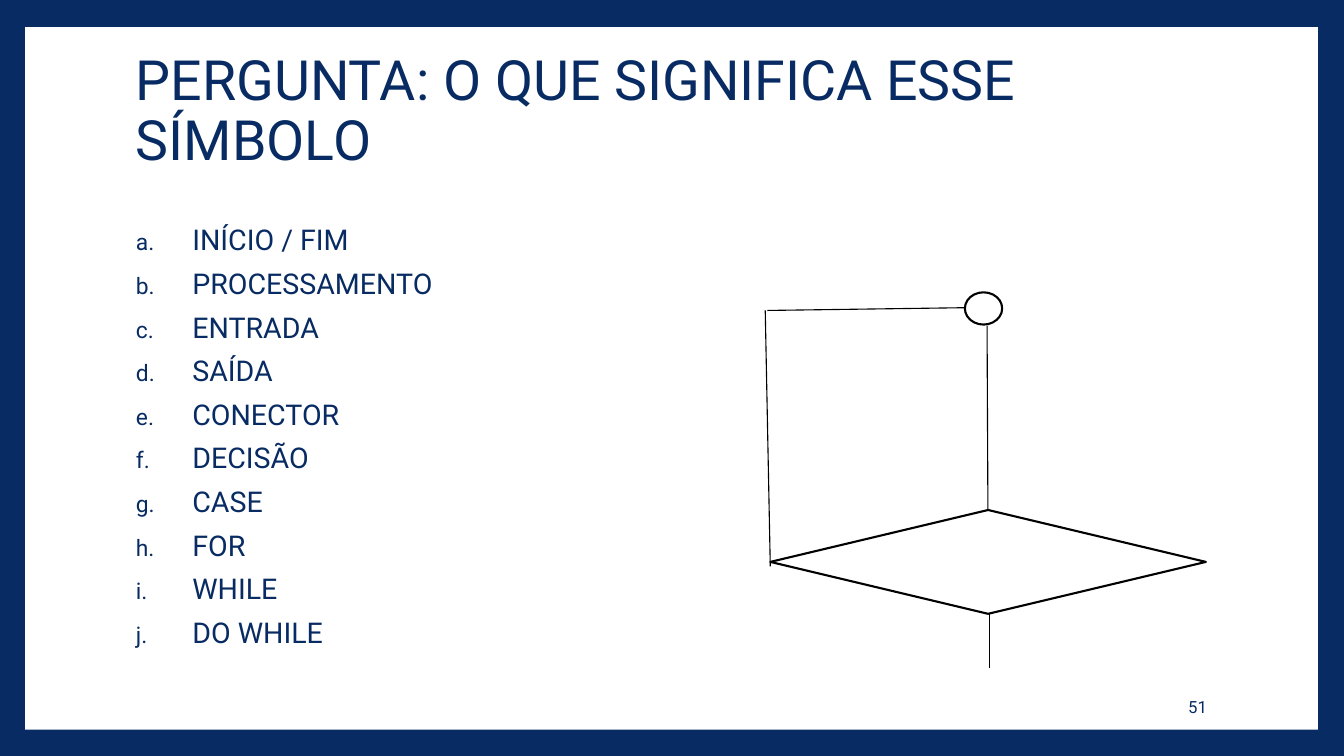
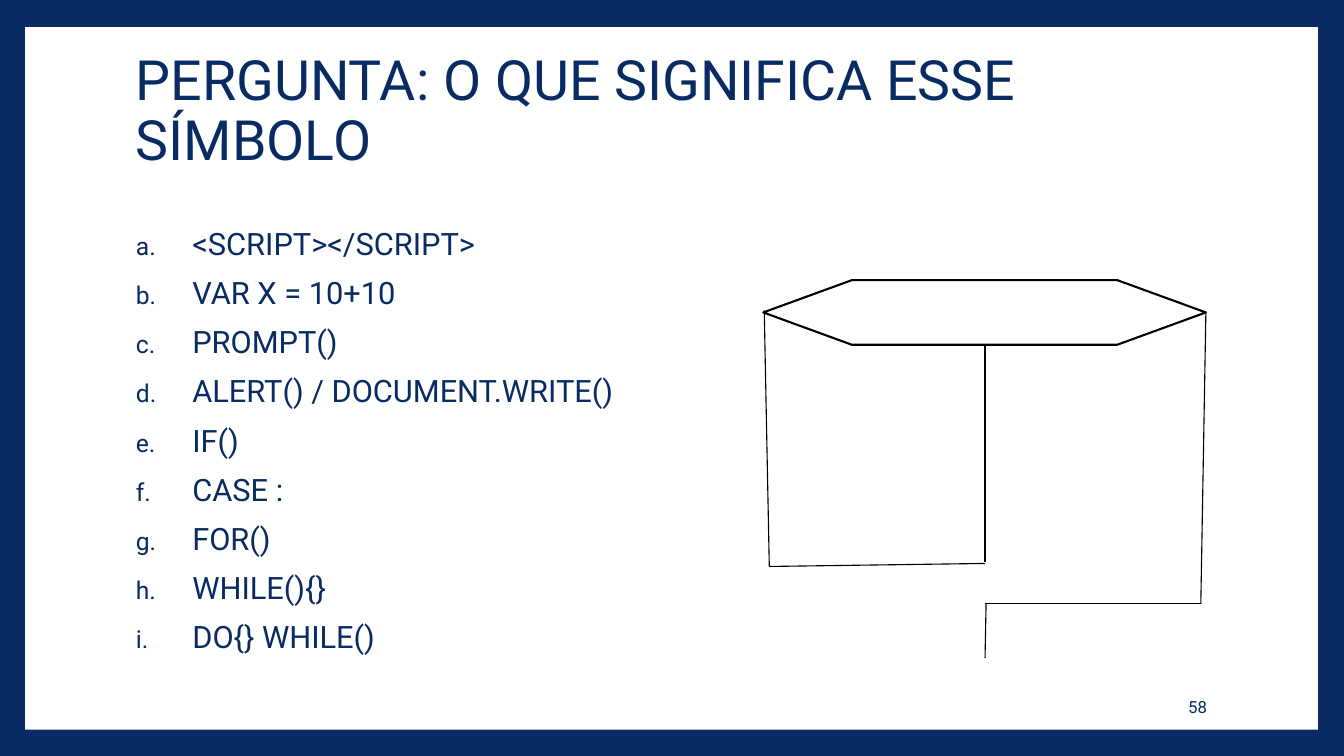
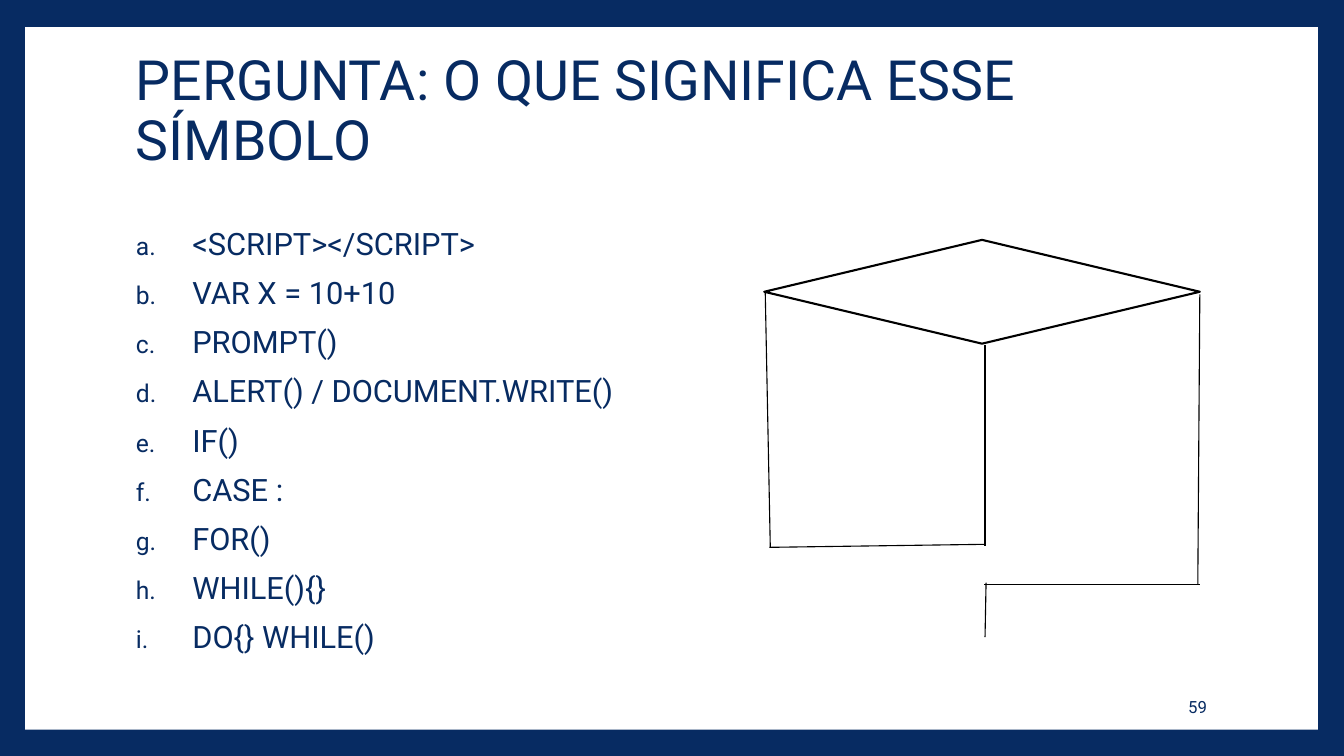
"""Builds three quiz slides on flowchart symbols."""
from lxml.etree import SubElement as Sub
from pptx import Presentation
from pptx.dml.color import RGBColor
from pptx.enum.shapes import MSO_CONNECTOR as Link, MSO_SHAPE as Kind
from pptx.enum.text import MSO_ANCHOR as Anchor, PP_ALIGN as Align
from pptx.oxml.ns import qn
from pptx.util import Inches, Pt

NAVY, WHITE, BLACK = "072B62", "FFFFFF", "000000"
FONT = "Roboto"
TITLE = "PERGUNTA: O QUE SIGNIFICA ESSE SÍMBOLO"

NAMES = ["INÍCIO / FIM", "PROCESSAMENTO", "ENTRADA", "SAÍDA", "CONECTOR",
         "DECISÃO", "CASE", "FOR", "WHILE", "DO WHILE"]
CODE = ["<SCRIPT></SCRIPT>", "VAR X = 10+10", "PROMPT()",
        "ALERT() / DOCUMENT.WRITE()", "IF()", "CASE :", "FOR()",
        "WHILE(){}", "DO{} WHILE()"]

DO_LOOP = {
    "lines": [(9.79, 3.23, 9.8, 5.42), (7.61, 3.08, 9.75, 3.05),
              (7.64, 5.62, 7.59, 3.08), (9.81, 6.63, 9.81, 6.09)],
    "nodes": [(Kind.FLOWCHART_DECISION, 7.64, 5.06, 4.32, 1.03),
              (Kind.FLOWCHART_CONNECTOR, 9.57, 2.9, 0.37, 0.32)],
}
FOR_LOOP = {
    "lines": [(9.77, 3.42, 9.77, 5.58), (7.63, 5.62, 9.77, 5.59),
              (7.63, 5.62, 7.58, 3.08), (11.91, 5.99, 11.96, 3.11),
              (9.77, 5.99, 11.91, 5.99), (9.77, 6.53, 9.78, 5.99)],
    "nodes": [(Kind.FLOWCHART_PREPARATION, 7.57, 2.78, 4.39, 0.64)],
}
WHILE_LOOP = {
    "lines": [(9.77, 3.42, 9.77, 5.42), (7.63, 5.43, 9.77, 5.4),
              (7.64, 5.43, 7.59, 2.9), (11.88, 5.8, 11.9, 2.92),
              (9.76, 5.8, 11.9, 5.8), (9.77, 6.32, 9.78, 5.78)],
    "nodes": [(Kind.FLOWCHART_DECISION, 7.58, 2.38, 4.32, 1.03)],
}
SLIDES = [(51, NAMES, 20.4, 0.7, DO_LOOP),
          (58, CODE, 22, 0.8, FOR_LOOP),
          (59, CODE, 22, 0.8, WHILE_LOOP)]


def paint(fmt, color):
    fmt.solid()
    fmt.fore_color.rgb = RGBColor.from_string(color)


def add_node(slide, kind, *box, line=None):
    node = slide.shapes.add_shape(kind, *map(Inches, box))
    node.shadow.inherit = False
    paint(node.fill, WHITE)
    if line:
        paint(node.line.fill, line)
        node.line.width = Pt(1.5)
    else:
        node.line.fill.background()


def add_line(slide, *ends):
    line = slide.shapes.add_connector(Link.STRAIGHT, *map(Inches, ends))
    paint(line.line.fill, BLACK)
    line.line.width = Pt(0.79)
    Sub(line._element.spPr, qn("a:effectLst"))


def add_letter(para):
    props = para._p.get_or_add_pPr()
    props.set("marL", str(Inches(0.56)))
    props.set("indent", str(Inches(-0.56)))
    Sub(Sub(props, qn("a:buClr")), qn("a:srgbClr"), val=NAVY)
    Sub(props, qn("a:buSzPct"), val="80000")
    Sub(props, qn("a:buFont"), typeface=FONT)
    Sub(props, qn("a:buAutoNum"), type="alphaLcPeriod")


def add_text(slide, box, rows, size, space=1.0, anchor=Anchor.MIDDLE,
             align=Align.LEFT, letters=False):
    frame = slide.shapes.add_textbox(*map(Inches, box)).text_frame
    frame.word_wrap = True
    frame.vertical_anchor = anchor
    frame.text = "\n".join(rows)
    for para in frame.paragraphs:
        para.alignment = align
        para.line_spacing = space
        if letters:
            para.space_before = Pt(14)
            add_letter(para)
        para.font.size = Pt(size)
        para.font.name = FONT
        para.font.color.rgb = RGBColor.from_string(NAVY)
    return frame


def add_slide(deck, number, rows, size, space, chart):
    slide = deck.slides.add_slide(deck.slide_layouts[6])
    paint(slide.background.fill, NAVY)
    add_node(slide, Kind.RECTANGLE, 0.25, 0.27, 12.82, 6.97)
    title = add_text(slide, (1.25, 0.67, 10.8, 1.48), [TITLE], 39.6, 0.9)
    title.margin_bottom = Inches(0.63)
    add_text(slide, (1.25, 2.25, 5.2, 4.4), rows, size, space,
             anchor=Anchor.TOP, letters=True)
    for ends in chart["lines"]:
        add_line(slide, *ends)
    for node in chart["nodes"]:
        add_node(slide, *node, line=BLACK)
    add_text(slide, (10.2, 6.81, 1.87, 0.4), [str(number)], 12,
             align=Align.RIGHT)


deck = Presentation()
deck.slide_width, deck.slide_height = Inches(13.33), Inches(7.5)
for entry in SLIDES:
    add_slide(deck, *entry)
deck.save("out.pptx")
